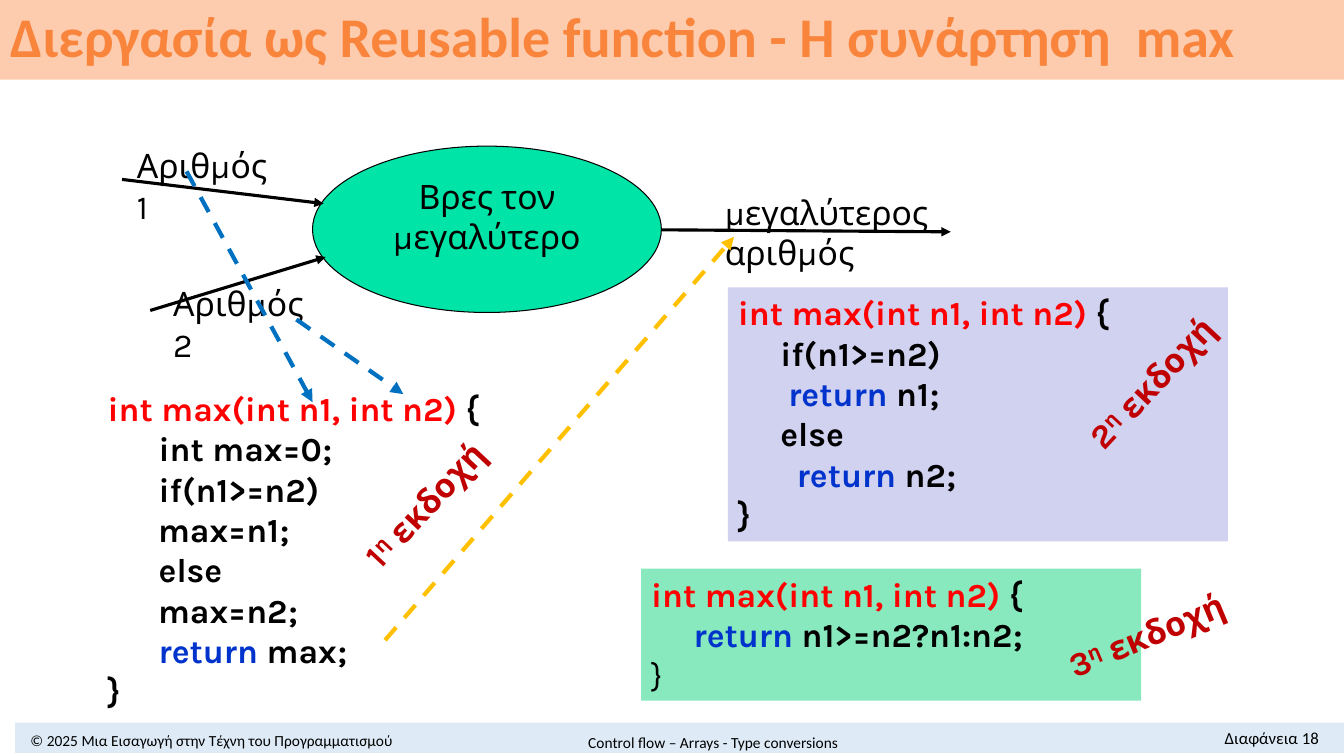
import pptx
import pptx.dml.color
import pptx.enum.dml
import pptx.enum.shapes
import pptx.enum.text
import pptx.oxml
import pptx.oxml.ns
import pptx.util

WIDTH, HEIGHT = 13.33, 7.5
COLORS = {
    "black": "000000", "signature": "FF0000", "keyword": "0033CC", "version": "C00000",
    "title": "F9853D", "title_bar": "FDCBAD", "footer_bar": "DEEBF7", "process": "00E4A8",
    "lilac": "D1D1F0", "mint": "88E9BE", "input": "0070C0", "output": "FFC000",
}

TITLE = "Διεργασία ως Reusable function - H συνάρτηση  max"
# text, place, size, alignment
FOOTERS = [
    ("© 2025 Μια Εισαγωγή στην Τέχνη του Προγραμματισμού", (0, 7.22, 4.2, 0.26), 11, "CENTER"),
    ("Control flow – Arrays - Type conversions", (4.54, 7.22, 5.07, 0.28), 11, "CENTER"),
    ("Διαφάνεια 18", (11.12, 7.17, 2.06, 0.3), 12, "RIGHT"),
]
PROCESS = ["Βρες τον", "μεγαλύτερο"]
DATA_LABELS = [
    ("Αριθμός 1", (1.26, 1.39, 1.66, 0.91)),
    ("Αριθμός 2", (1.62, 2.76, 1.66, 0.91)),
    ("μεγαλύτερος αριθμός", (7.09, 1.85, 2.34, 0.91)),
]
# start, end
FLOWS = [
    ((1.21, 1.78), (3.21, 2.02)),
    ((1.49, 3.08), (3.23, 2.55)),
    ((6.56, 2.28), (9.43, 2.3)),
]
# start, end, colour
MAPPINGS = [
    ((3.82, 6.35), (7.28, 2.35), "output"),
    ((2.94, 3.17), (4, 3.91), "input"),
    ((1.85, 1.7), (3.1, 3.99), "input"),
]
SIGNATURE = "int max(int n1, int n2) "
KEYWORD = "return"
# place, fill, lines after the signature, bold closing brace
VERSIONS = [
    ((0.97, 3.8, 4.96, 3.33), None,
     ["      int max=0;", "      if(n1>=n2)", "\tmax=n1;", "      else", "\tmax=n2;",
      "      return max;"], True),
    ((6.36, 5.64, 4.96, 1.31), "mint", ["     return n1>=n2?n1:n2;"], False),
    ((7.22, 2.85, 4.96, 2.52), "lilac",
     ["     if(n1>=n2)", "\treturn n1;", "     else", "\t return n2;"], True),
]
# number, left, top, rotation
VERSION_LABELS = [("1", 3.32, 4.71, 313.1), ("3", 10.45, 6.04, 337.4), ("2", 10.5, 3.53, 313.1)]


def rgb(name):
    return pptx.dml.color.RGBColor.from_string(COLORS[name])


def inches(values):
    return [pptx.util.Inches(value) for value in values]


def style(span, size, color="black", font="Karla", bold=False):
    span.font.size = pptx.util.Pt(size)
    span.font.name = font
    span.font.bold = bold
    span.font.color.rgb = rgb(color)


def add_span(para, text, color="black", bold=True):
    span = para.add_run()
    span.text = text
    style(span, 24, color, bold=bold)
    return span


def add_box(page, place, wrap=True):
    box = page.shapes.add_textbox(*inches(place))
    box.text_frame.word_wrap = wrap
    return box


def add_filled(page, kind, place, fill):
    shape = page.shapes.add_shape(kind, *inches(place))
    shape.shadow.inherit = False
    shape.fill.solid()
    shape.fill.fore_color.rgb = rgb(fill)
    shape.line.fill.background()
    return shape


def add_label(page, text, place, size=24, font="Karla", align="LEFT", anchor="TOP"):
    box = add_box(page, place)
    frame = box.text_frame
    frame.text = text
    frame.vertical_anchor = pptx.enum.text.MSO_ANCHOR[anchor]
    frame.paragraphs[0].alignment = pptx.enum.text.PP_ALIGN[align]
    style(frame.paragraphs[0].runs[0], size, font=font)


def add_arrow(page, start, end, color="black", width=2.25, dashed=False):
    arrow = page.shapes.add_connector(
        pptx.enum.shapes.MSO_CONNECTOR.STRAIGHT, *inches(start + end))
    arrow.line.width = pptx.util.Pt(width)
    arrow.line.color.rgb = rgb(color)
    if dashed:
        arrow.line.dash_style = pptx.enum.dml.MSO_LINE.DASH
    namespace = pptx.oxml.ns.nsdecls("a")
    arrow.line._get_or_add_ln().append(
        pptx.oxml.parse_xml(f'<a:tailEnd {namespace} type="triangle"/>'))
    arrow._element.spPr.append(pptx.oxml.parse_xml(f"<a:effectLst {namespace}/>"))


def add_code(page, place, fill, lines, bold_end):
    box = add_box(page, place)
    if fill:
        box.fill.solid()
        box.fill.fore_color.rgb = rgb(fill)
    frame = box.text_frame
    para = frame.paragraphs[0]
    add_span(para, SIGNATURE, "signature")
    add_span(para, "{")
    for line in lines:
        para = frame.add_paragraph()
        before, keyword, after = line.partition(KEYWORD)
        add_span(para, before)
        if keyword:
            add_span(para, keyword, "keyword")
            add_span(para, after)
    add_span(frame.add_paragraph(), "}", bold=bold_end)


def add_version_label(page, number, left, top, rotation):
    box = add_box(page, (left, top, 1.86, 0.5), wrap=False)
    box.rotation = rotation
    para = box.text_frame.paragraphs[0]
    add_span(para, number, "version")
    ordinal = add_span(para, "η", "version")
    ordinal.font._element.set("baseline", "30000")
    add_span(para, " εκδοχή", "version")


def add_title(page):
    title = page.shapes.title
    title.left, title.top, title.width, title.height = inches((0, 0, WIDTH, 0.79))
    title.fill.solid()
    title.fill.fore_color.rgb = rgb("title_bar")
    frame = title.text_frame
    frame.text = TITLE
    frame.vertical_anchor = pptx.enum.text.MSO_ANCHOR.MIDDLE
    frame.auto_size = pptx.enum.text.MSO_AUTO_SIZE.NONE
    para = frame.paragraphs[0]
    para.alignment = pptx.enum.text.PP_ALIGN.LEFT
    para.line_spacing = 0.9
    style(para.runs[0], 40, "title", "Calibri", True)


def add_process(page):
    oval = add_filled(page, pptx.enum.shapes.MSO_SHAPE.OVAL, (3.1, 1.45, 3.46, 1.65), "process")
    oval.line.color.rgb = rgb("black")
    oval.line.width = pptx.util.Pt(0.75)
    frame = oval.text_frame
    frame.word_wrap = False
    frame.vertical_anchor = pptx.enum.text.MSO_ANCHOR.TOP
    frame.text = "\n".join(PROCESS)
    for para in frame.paragraphs:
        para.alignment = pptx.enum.text.PP_ALIGN.CENTER
        style(para.runs[0], 24)


def main():
    deck = pptx.Presentation()
    deck.slide_width, deck.slide_height = inches((WIDTH, HEIGHT))
    page = deck.slides.add_slide(deck.slide_layouts.get_by_name("Title Only"))
    add_title(page)
    add_filled(page, pptx.enum.shapes.MSO_SHAPE.RECTANGLE,
               (0.15, 7.17, WIDTH - 0.15, 0.3), "footer_bar")
    for text, place, size, align in FOOTERS:
        add_label(page, text, place, size, "Calibri", align, "MIDDLE")
    add_process(page)
    for start, end in FLOWS:
        add_arrow(page, start, end)
    for text, place in DATA_LABELS:
        add_label(page, text, place)
    for version in VERSIONS:
        add_code(page, *version)
    for start, end, color in MAPPINGS:
        add_arrow(page, start, end, color, 3, dashed=True)
    for label in VERSION_LABELS:
        add_version_label(page, *label)
    deck.save("out.pptx")


if __name__ == "__main__":
    main()
